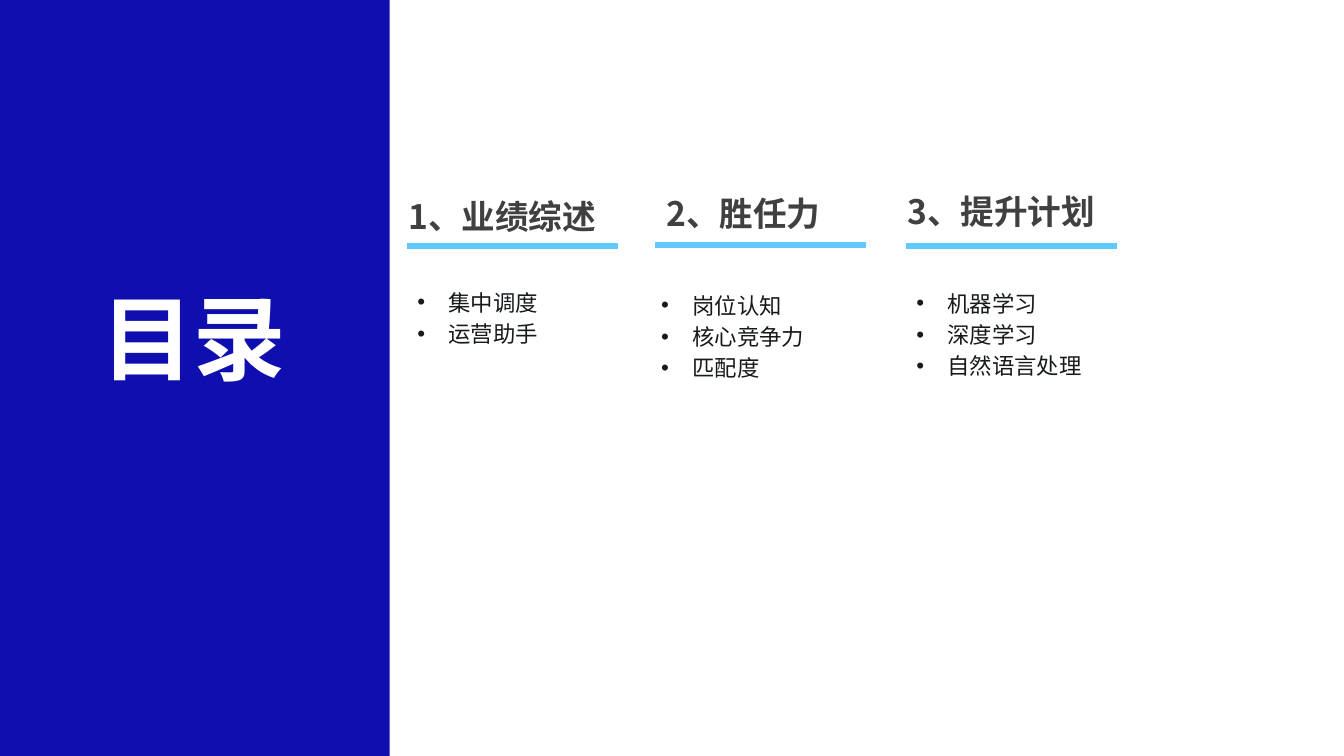
import pptx
import pptx.util
import pptx.dml.color
import pptx.enum.shapes
import pptx.enum.text
import pptx.oxml.ns
import lxml.etree

Inches = pptx.util.Inches
Pt = pptx.util.Pt
RGBColor = pptx.dml.color.RGBColor
Anchor = pptx.enum.text.MSO_ANCHOR
Align = pptx.enum.text.PP_ALIGN
qn = pptx.oxml.ns.qn

WIDTH, HEIGHT = 13.33, 7.5
NAVY = RGBColor(0x0F, 0x0F, 0xAF)
SKY = RGBColor(0x60, 0xCA, 0xFE)
WHITE = RGBColor(0xFF, 0xFF, 0xFF)
GRAY = RGBColor(0x40, 0x40, 0x40)
INK = RGBColor(0x17, 0x1A, 0x1D)
FONT = "Noto Sans CJK SC"
RULE_WIDTH = 2.09
INDENT = Inches(0.31)

CHAPTERS = [
    {"box": (4.04, 1.89, 2.71, 1.58), "rule": (0, 0.55),
     "list": (0, 0.88, RULE_WIDTH, 3.7),
     "heading": "1、业绩综述", "heading_shift": -0.09,
     "topics": ["集中调度", "运营助手"]},
    {"box": (6.5, 1.86, 2.72, 0.8), "rule": (0, 0.57),
     "list": (-0.04, 0.94, RULE_WIDTH, 1.87),
     "heading": "2、胜任力", "heading_shift": 0.01,
     "topics": ["岗位认知", "核心竞争力", "匹配度"]},
    {"box": (8.99, 1.84, 2.72, 0.8), "rule": (0, 0.6),
     "list": (0, 0.94, RULE_WIDTH, 1.87),
     "heading": "3、提升计划", "heading_shift": -0.09,
     "topics": ["机器学习", "深度学习", "自然语言处理"]},
]


def write(frame, lines, size, color, bold=False, wrap=True, anchor=Anchor.TOP,
          line_spacing=None, bullet=None, tracking=None):
    frame.word_wrap = wrap
    frame.vertical_anchor = anchor
    frame.auto_size = pptx.enum.text.MSO_AUTO_SIZE.NONE
    for index, line in enumerate(lines):
        paragraph = frame.add_paragraph() if index else frame.paragraphs[0]
        paragraph.alignment = Align.LEFT
        if line_spacing:
            paragraph.line_spacing = line_spacing
        if bullet:
            properties = paragraph._p.get_or_add_pPr()
            properties.set("marL", str(INDENT))
            properties.set("indent", str(-INDENT))
            lxml.etree.SubElement(properties, qn("a:buFont"), typeface="Arial")
            lxml.etree.SubElement(properties, qn("a:buChar"), char=bullet)
        run = paragraph.add_run()
        run.text = line
        run.font.size = Pt(size)
        run.font.bold = bold
        run.font.color.rgb = color
        run.font.name = FONT
        style = run.font._element
        lxml.etree.SubElement(style, qn("a:ea"), typeface=FONT)
        if tracking:
            style.set("spc", str(int(tracking * 100)))


def add_text(slide, left, top, width, height, lines, **text_format):
    box = slide.shapes.add_textbox(*map(Inches, (left, top, width, height)))
    write(box.text_frame, lines, **text_format)


def add_title_panel(slide, left, top, width, height):
    panel = slide.shapes.add_shape(
        pptx.enum.shapes.MSO_SHAPE.RECTANGLE,
        *map(Inches, (left, top, width, height)))
    panel.shadow.inherit = False
    panel.fill.solid()
    panel.fill.fore_color.rgb = NAVY
    panel.line.fill.background()

    title = slide.shapes.title
    title.left, title.top = Inches(left + 0.91), Inches(top + 2.73)
    title.width, title.height = Inches(2.04), Inches(1.21)
    write(title.text_frame, ["目录"], size=66, color=WHITE, bold=True,
          wrap=False, anchor=Anchor.MIDDLE, tracking=-0.5)
    panel.element.addnext(title.element)


def add_rule(slide, left, top, width):
    rule = slide.shapes.add_connector(
        pptx.enum.shapes.MSO_CONNECTOR.STRAIGHT,
        *map(Inches, (left + width, top, left, top)))
    rule.line.color.rgb = SKY
    rule.line.width = Pt(4.5)
    lxml.etree.SubElement(rule.element.spPr, qn("a:effectLst"))


def add_chapter(slide, chapter):
    left, top, width, height = chapter["box"]
    add_text(slide, left + chapter["heading_shift"], top, width, height,
             [chapter["heading"]], size=24, color=GRAY, bold=True)
    list_x, list_y, list_width, list_height = chapter["list"]
    add_text(slide, left + list_x, top + list_y, list_width, list_height,
             chapter["topics"], size=16, color=INK, line_spacing=1.17, bullet="•")
    rule_x, rule_y = chapter["rule"]
    add_rule(slide, left + rule_x, top + rule_y, RULE_WIDTH)


def main():
    deck = pptx.Presentation()
    deck.slide_width, deck.slide_height = Inches(WIDTH), Inches(HEIGHT)
    contents = deck.slides.add_slide(deck.slide_layouts[5])
    add_title_panel(contents, 0, 0, 0.29 * WIDTH, HEIGHT)
    for chapter in CHAPTERS:
        add_chapter(contents, chapter)
    deck.save("out.pptx")


if __name__ == "__main__":
    main()
